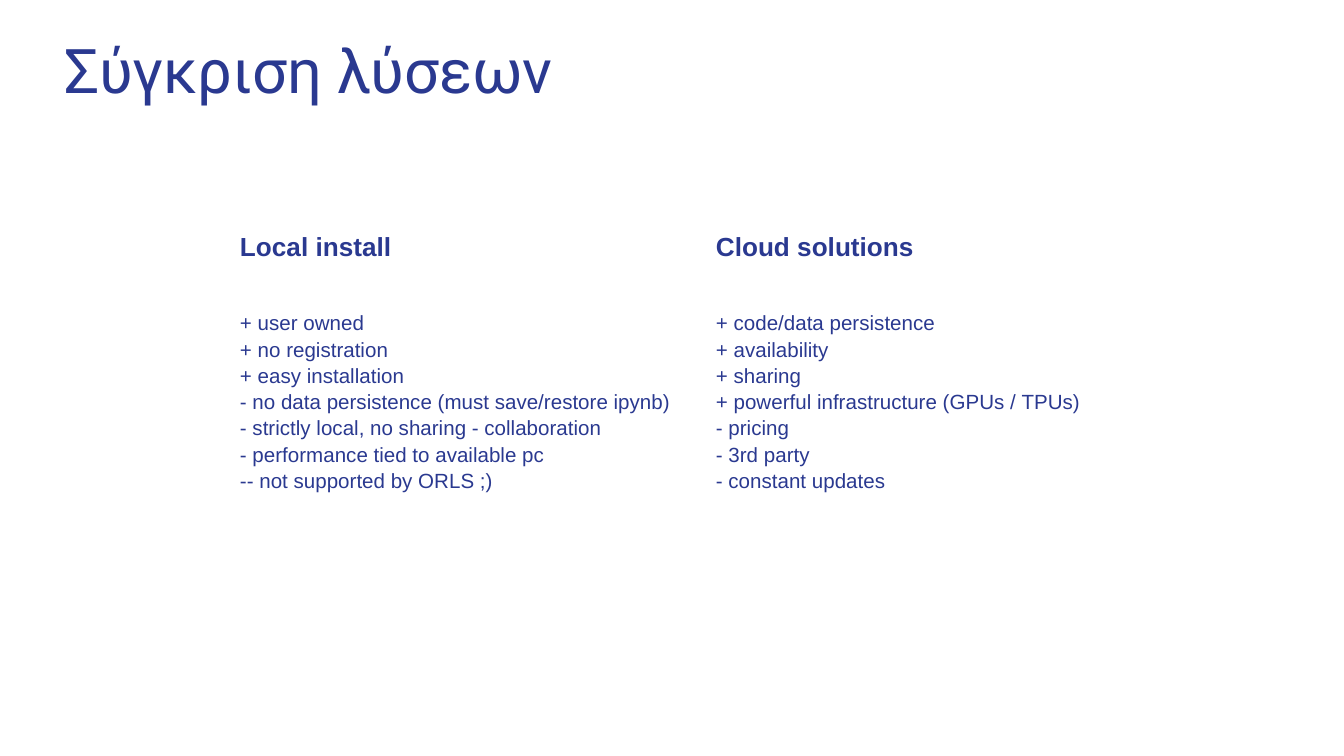
import pptx
import pptx.util
import pptx.dml.color

NAVY = pptx.dml.color.RGBColor(0x2A, 0x39, 0x90)
PX = 914400 / 134.4
TITLE = "Σύγκριση λύσεων"
COLS = [
    ("Local install", 476, [
        "+ user owned",
        "+ no registration",
        "+ easy installation",
        "- no data persistence (must save/restore ipynb)",
        "- strictly local, no sharing - collaboration",
        "- performance tied to available pc",
        "-- not supported by ORLS ;)",
    ]),
    ("Cloud solutions", 415, [
        "+ code/data persistence",
        "+ availability",
        "+ sharing",
        "+ powerful infrastructure (GPUs / ΤPUs)",
        "- pricing",
        "- 3rd party",
        "- constant updates",
    ]),
]
ROWS = [76, 238]
PAD = 13


def px(n):
    return pptx.util.Emu(round(n * PX))


def write(frame, lines, font, size, bold=False, space=None):
    frame.word_wrap = True
    for i, line in enumerate(lines):
        para = frame.paragraphs[0] if i == 0 else frame.add_paragraph()
        para.line_spacing = space
        run = para.add_run()
        run.text = line
        run.font.name = font
        run.font.size = pptx.util.Pt(size)
        run.font.bold = bold
        run.font.color.rgb = NAVY


def inset(item):
    item.margin_left = item.margin_right = px(PAD)
    item.margin_top = item.margin_bottom = px(PAD)


deck = pptx.Presentation()
deck.slide_width, deck.slide_height = px(1344), px(756)
slide = deck.slides.add_slide(deck.slide_layouts[6])

title = slide.shapes.add_textbox(px(51), px(19), px(660), px(123)).text_frame
inset(title)
write(title, [TITLE], "Roboto", 33)

width = sum(wide for _, wide, _ in COLS)
table = slide.shapes.add_table(
    len(ROWS), len(COLS), px(227), px(220), px(width), px(sum(ROWS))).table
table.first_row = table.horz_banding = False
for row, high in zip(table.rows, ROWS):
    row.height = px(high)
for c, (head, wide, points) in enumerate(COLS):
    table.columns[c].width = px(wide)
    write(table.cell(0, c).text_frame, [head], "Arial", 14, bold=True)
    write(table.cell(1, c).text_frame, points, "Arial", 11, space=1.15)
for cell in table.iter_cells():
    inset(cell)
    cell.fill.background()

deck.save("out.pptx")
